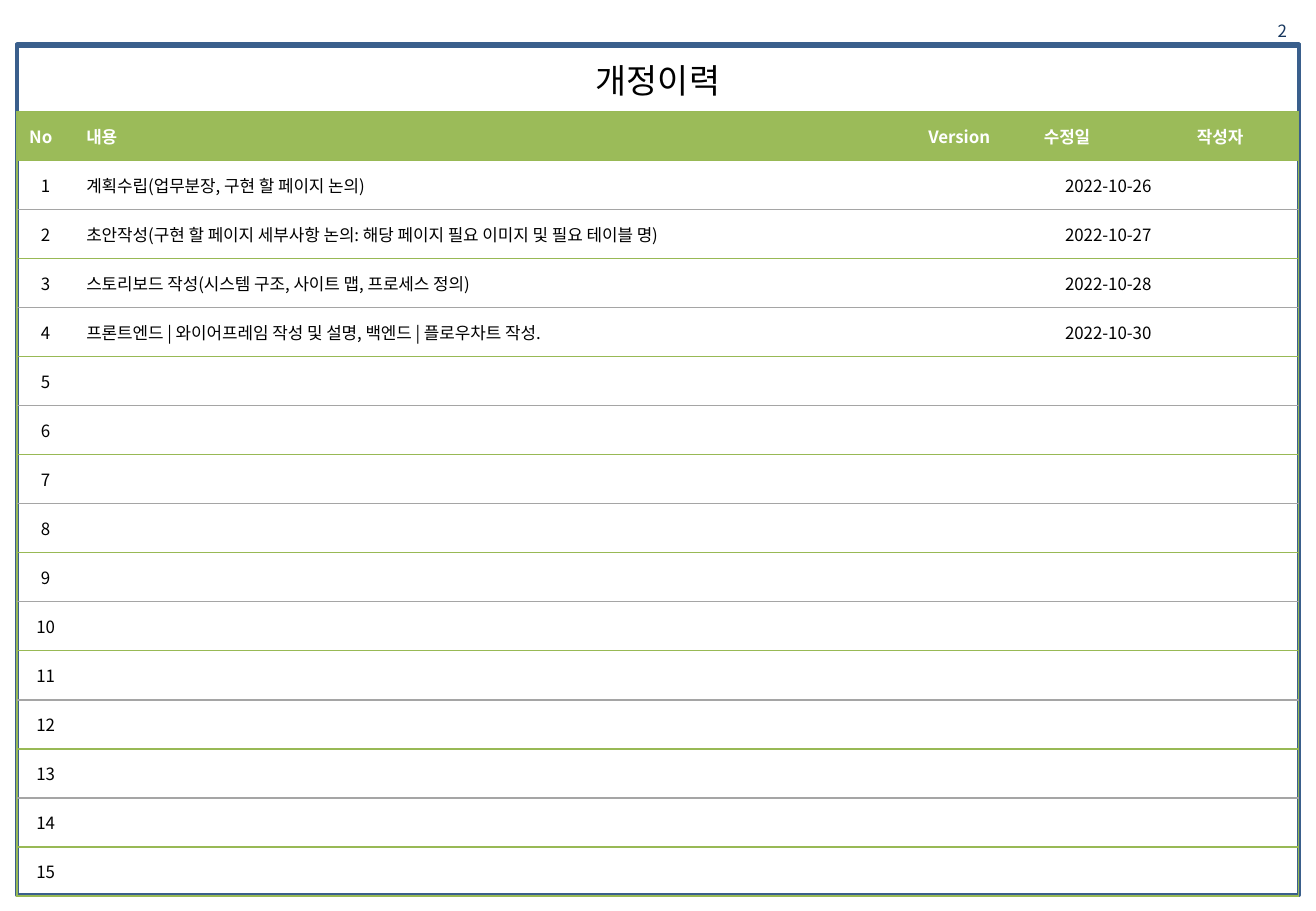
from dataclasses import dataclass

from lxml.etree import SubElement
from pptx import Presentation
from pptx.dml.color import RGBColor
from pptx.enum.shapes import MSO_SHAPE
from pptx.enum.text import MSO_ANCHOR, PP_ALIGN
from pptx.oxml.ns import qn
from pptx.util import Inches, Pt


@dataclass(frozen=True)
class Theme:
    font: str = "Noto Sans CJK KR"
    text: str = "000000"
    white: str = "FFFFFF"
    page_number: str = "17375E"
    frame: str = "3A5F8C"
    header: str = "9BBB59"
    green_rule: str = "98B955"
    grey_rule: str = "A5A5A5"
    title_size: int = 20
    body_size: int = 10
    frame_width: float = 2
    rule_width: float = 0.75
    plain_table: str = "{2D5ABB26-0587-4C30-8999-92F81FD0307C}"


HEADERS = ["No", "내용", "Version", "수정일", "작성자"]
COLUMN_WIDTHS = [0.47, 6.93, 0.95, 1.26, 0.94]
ROW_COUNT = 15
REVISIONS = [
    ("계획수립(업무분장, 구현 할 페이지 논의)", "2022-10-26"),
    ("초안작성(구현 할 페이지 세부사항 논의: 해당 페이지 필요 이미지 및 필요 테이블 명)", "2022-10-27"),
    ("스토리보드 작성(시스템 구조, 사이트 맵, 프로세스 정의)", "2022-10-28"),
    ("프론트엔드 | 와이어프레임 작성 및 설명, 백엔드 | 플로우차트 작성.", "2022-10-30"),
]


class RevisionSlide:
    def __init__(self, presentation, theme):
        self.theme = theme
        self.slide = presentation.slides.add_slide(presentation.slide_layouts[5])

    def set_text(self, text_frame, text, size, color, align=PP_ALIGN.LEFT, bold=False):
        paragraph = text_frame.paragraphs[0]
        paragraph.text = text
        paragraph.alignment = align
        font = paragraph.font
        font.name = self.theme.font
        font.size = Pt(size)
        font.bold = bold
        font.color.rgb = RGBColor.from_string(color)
        properties = paragraph._p.pPr.find(qn("a:defRPr"))
        SubElement(properties, qn("a:ea"), typeface=self.theme.font)

    def outline(self, shape):
        shape.line.color.rgb = RGBColor.from_string(self.theme.frame)
        shape.line.width = Pt(self.theme.frame_width)

    def frame(self, left, top, width, height):
        shape = self.slide.shapes.add_shape(
            MSO_SHAPE.RECTANGLE, Inches(left), Inches(top), Inches(width), Inches(height))
        shape.shadow.inherit = False
        shape.fill.background()
        self.outline(shape)

    def title(self, text, left, top, width, height):
        shape = self.slide.shapes.title
        shape.left, shape.top = Inches(left), Inches(top)
        shape.width, shape.height = Inches(width), Inches(height)
        shape.fill.solid()
        shape.fill.fore_color.rgb = RGBColor.from_string(self.theme.white)
        self.outline(shape)
        shape.text_frame.vertical_anchor = MSO_ANCHOR.MIDDLE
        self.set_text(shape.text_frame, text, self.theme.title_size, self.theme.text, PP_ALIGN.CENTER)

    def page_number(self, text, left, top, width, height):
        shape = self.slide.shapes.add_textbox(
            Inches(left), Inches(top), Inches(width), Inches(height))
        shape.text_frame.word_wrap = True
        shape.text_frame.vertical_anchor = MSO_ANCHOR.MIDDLE
        self.set_text(shape.text_frame, text, self.theme.body_size, self.theme.page_number, PP_ALIGN.RIGHT)

    def borders(self, cell, colors):
        properties = cell._tc.get_or_add_tcPr()
        for position, side in enumerate(side for side in "LRTB" if side in colors):
            line = properties.makeelement(
                qn(f"a:ln{side}"), {"w": str(Pt(self.theme.rule_width))})
            fill = SubElement(line, qn("a:solidFill"))
            SubElement(fill, qn("a:srgbClr"), val=colors[side])
            properties.insert(position, line)

    def rule_color(self, boundary):
        if boundary % 2 == 0 and 0 < boundary <= ROW_COUNT:
            return self.theme.grey_rule
        return self.theme.green_rule

    def table(self, rows, left, top, width, height):
        theme = self.theme
        table = self.slide.shapes.add_table(
            len(rows), len(HEADERS), Inches(left), Inches(top), Inches(width), Inches(height)).table
        table.horz_banding = False
        table._tbl.tblPr.find(qn("a:tableStyleId")).text = theme.plain_table
        for column, column_width in zip(table.columns, COLUMN_WIDTHS):
            column.width = Inches(column_width)
        for row_index, row in enumerate(rows):
            is_header = row_index == 0
            for column_index, text in enumerate(row):
                cell = table.cell(row_index, column_index)
                cell.vertical_anchor = MSO_ANCHOR.MIDDLE
                cell.margin_top = cell.margin_bottom = 0
                if is_header:
                    cell.fill.solid()
                    cell.fill.fore_color.rgb = RGBColor.from_string(theme.header)
                else:
                    cell.fill.background()
                centred = not is_header and column_index in (0, 3)
                self.set_text(cell.text_frame, text, theme.body_size,
                              theme.white if is_header else theme.text,
                              PP_ALIGN.CENTER if centred else PP_ALIGN.LEFT, is_header)
                colors = {"T": self.rule_color(row_index), "B": self.rule_color(row_index + 1)}
                if column_index == 0:
                    colors["L"] = theme.green_rule
                if column_index == len(HEADERS) - 1:
                    colors["R"] = theme.green_rule
                self.borders(cell, colors)


def main():
    presentation = Presentation()
    presentation.slide_width = Inches(10.83)
    presentation.slide_height = Inches(7.5)
    rows = [HEADERS]
    for number in range(1, ROW_COUNT + 1):
        content, date = REVISIONS[number - 1] if number <= len(REVISIONS) else ("", "")
        rows.append([str(number), content, "", date, ""])
    page = RevisionSlide(presentation, Theme())
    page.frame(0.14, 0.36, 10.55, 7.01)
    page.title("개정이력", 0.14, 0.38, 10.55, 0.55)
    page.table(rows, 0.14, 0.92, 10.55, 6.46)
    page.page_number("2", 10.06, 0.13, 0.63, 0.24)
    presentation.save("out.pptx")


if __name__ == "__main__":
    main()
